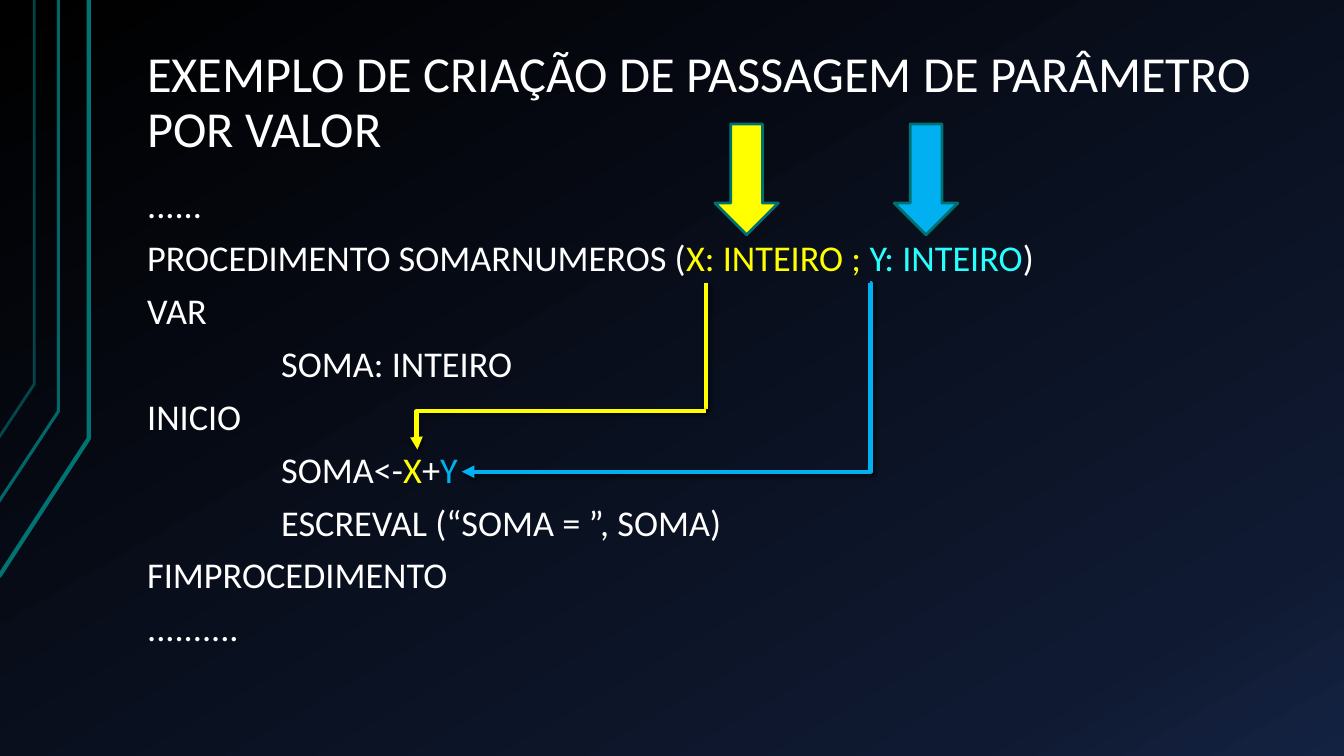
import copy
from dataclasses import dataclass

import lxml.etree
import pptx
import pptx.dml.color
import pptx.enum.shapes
import pptx.enum.text
import pptx.oxml
import pptx.oxml.ns
import pptx.util

Inches, Pt = pptx.util.Inches, pptx.util.Pt
qn = pptx.oxml.ns.qn
SHAPE = pptx.enum.shapes.MSO_SHAPE
CONNECTOR = pptx.enum.shapes.MSO_CONNECTOR


@dataclass(frozen=True)
class Theme:
    """Colours, font and type sizes of the slide."""
    font: str = "Calibri"
    title_size: float = 36
    code_size: float = 25.9
    white: str = "FFFFFF"
    yellow: str = "FFFF00"
    cyan: str = "29FFFF"
    blue: str = "00B0F0"
    teal: str = "007373"
    arrow_edge: str = "007171"
    background: tuple = ((0, "000000"), (0.85, "0F1931"), (1, "142242"))


THEME = Theme()
TITLE = "EXEMPLO DE CRIAÇÃO DE PASSAGEM DE PARÂMETRO POR VALOR"

# Each code line: indent level, then (text, colour) runs
CODE = [
    (0, [("......", THEME.white)]),
    (0, [("PROCEDIMENTO SOMARNUMEROS (", THEME.white), ("X: INTEIRO ; ", THEME.yellow),
         ("Y: INTEIRO", THEME.cyan), (")", THEME.white)]),
    (0, [("VAR", THEME.white)]),
    (1, [("SOMA: INTEIRO", THEME.white)]),
    (0, [("INICIO", THEME.white)]),
    (1, [("SOMA<-", THEME.white), ("X", THEME.yellow), ("+", THEME.white), ("Y", THEME.blue)]),
    (1, [("ESCREVAL (“SOMA = ”, SOMA)", THEME.white)]),
    (0, [("FIMPROCEDIMENTO", THEME.white)]),
    (0, [("..........", THEME.white)]),
]
INDENT = 1.33

# Corner lines: points, width, opacity in percent
CORNER_LINES = [
    ([(-0.01, 5.72), (0.88, 4.35), (0.88, 0)], 3, 100),
    ([(-0.02, 4.99), (0.58, 4.08), (0.58, 0)], 2.25, 90),
    ([(-0.01, 4.34), (0.34, 3.81), (0.34, 0)], 2, 60),
]
PARAMETER_ARROWS = [(8.87, THEME.blue), (7.09, THEME.yellow)]

# Paths: kind, start, end, colour, bend in thousandths of a percent, has arrowhead
VALUE_PATHS = [
    (CONNECTOR.STRAIGHT, (7, 2.81), (7, 4.06), THEME.yellow, None, False),
    (CONNECTOR.ELBOW, (7, 4.08), (4.14, 4.46), THEME.yellow, 100300, True),
    (CONNECTOR.ELBOW, (8.63, 2.81), (4.58, 4.68), THEME.blue, -100, True),
]


def rgb(colour):
    """Turn a hex string into a colour."""
    return pptx.dml.color.RGBColor.from_string(colour)


def set_line(line, colour, width):
    """Give a line its colour and width."""
    line.color.rgb = rgb(colour)
    line.width = Pt(width)


def paint_background(slide):
    """Fill the background with the diagonal gradient."""
    fill = slide.background.fill
    fill.gradient()
    fill.gradient_angle = 300
    stop_list = slide.element.find(".//" + qn("a:gsLst"))
    stop_list.append(copy.deepcopy(stop_list[-1]))
    for stop, (position, colour) in zip(fill.gradient_stops, THEME.background):
        stop.color.rgb = rgb(colour)
        stop.position = position


def add_corner_line(slide, points, width, opacity):
    """Draw one open line in the left corner."""
    (start, *rest) = [(Inches(x), Inches(y)) for x, y in points]
    builder = slide.shapes.build_freeform(*start)
    builder.add_line_segments(rest, close=False)
    corner = builder.convert_to_shape()
    corner.fill.background()
    corner.shadow.inherit = False
    set_line(corner.line, THEME.teal, width)
    colour = corner.element.spPr.find(".//" + qn("a:ln")).find(".//" + qn("a:srgbClr"))
    lxml.etree.SubElement(colour, qn("a:alpha")).set("val", str(opacity * 1000))


def place_frame(frame, anchor):
    """Set wrapping, anchor and insets of a text frame."""
    frame.word_wrap = True
    frame.auto_size = pptx.enum.text.MSO_AUTO_SIZE.NONE
    frame.vertical_anchor = anchor
    frame.margin_left = frame.margin_right = Inches(0.13)
    frame.margin_top = frame.margin_bottom = Inches(0.07)


def add_run(paragraph, text, size, colour):
    """Append one formatted run."""
    run = paragraph.add_run()
    run.text = text
    run.font.name = THEME.font
    run.font.size = Pt(size)
    run.font.color.rgb = rgb(colour)


def add_title(slide):
    """Move and fill the title placeholder."""
    title = slide.shapes.title
    title.left, title.top, title.width, title.height = map(Inches, (1.33, 0.3, 11.33, 1.34))
    place_frame(title.text_frame, pptx.enum.text.MSO_ANCHOR.BOTTOM)
    heading = title.text_frame.paragraphs[0]
    heading.alignment = pptx.enum.text.PP_ALIGN.LEFT
    heading.line_spacing = 0.9
    add_run(heading, TITLE, THEME.title_size, THEME.white)


def add_code(slide):
    """Write the pseudocode, one paragraph a line."""
    frame = slide.shapes.add_textbox(*map(Inches, (1.33, 1.86, 11.33, 4.88))).text_frame
    place_frame(frame, pptx.enum.text.MSO_ANCHOR.TOP)
    for number, (level, runs) in enumerate(CODE):
        code_line = frame.add_paragraph() if number else frame.paragraphs[0]
        code_line.line_spacing = 0.7
        code_line.space_before = Pt(16)
        properties = code_line._p.get_or_add_pPr()
        properties.set("marL", str(Inches(INDENT * level)))
        properties.set("indent", "0")
        for text, colour in runs:
            add_run(code_line, text, THEME.code_size, colour)


def add_parameter_arrow(slide, left, colour):
    """Draw a block arrow pointing down at a parameter."""
    arrow = slide.shapes.add_shape(SHAPE.DOWN_ARROW, *map(Inches, (left, 1.23, 0.63, 1.1)))
    arrow.shadow.inherit = False
    arrow.fill.solid()
    arrow.fill.fore_color.rgb = rgb(colour)
    set_line(arrow.line, THEME.arrow_edge, 2)


def add_value_path(slide, kind, start, end, colour, bend, has_head):
    """Draw a connector from a parameter to its use, with a soft shadow."""
    link = slide.shapes.add_connector(kind, *map(Inches, start + end))
    set_line(link.line, colour, 3)
    properties = link.element.spPr
    if bend is not None:
        guide = lxml.etree.SubElement(properties.find(".//" + qn("a:avLst")), qn("a:gd"))
        guide.set("name", "adj1")
        guide.set("fmla", f"val {bend}")
    if has_head:
        head = lxml.etree.SubElement(properties.find(qn("a:ln")), qn("a:tailEnd"))
        head.set("type", "triangle")
    properties.append(pptx.oxml.parse_xml(
        f'<a:effectLst {pptx.oxml.ns.nsdecls("a")}>'
        f'<a:outerShdw blurRad="{Pt(3)}" dist="{Pt(2)}" dir="2700000" rotWithShape="0">'
        '<a:srgbClr val="000000"><a:alpha val="60000"/></a:srgbClr>'
        '</a:outerShdw></a:effectLst>'))


def main():
    """Build and save the slide."""
    deck = pptx.Presentation()
    deck.slide_width, deck.slide_height = Inches(13.33), Inches(7.5)
    slide = deck.slides.add_slide(deck.slide_layouts.get_by_name("Title Only"))
    paint_background(slide)
    for corner in CORNER_LINES:
        add_corner_line(slide, *corner)
    add_title(slide)
    add_code(slide)
    for arrow in PARAMETER_ARROWS:
        add_parameter_arrow(slide, *arrow)
    for value_path in VALUE_PATHS:
        add_value_path(slide, *value_path)
    deck.save("out.pptx")


main()
